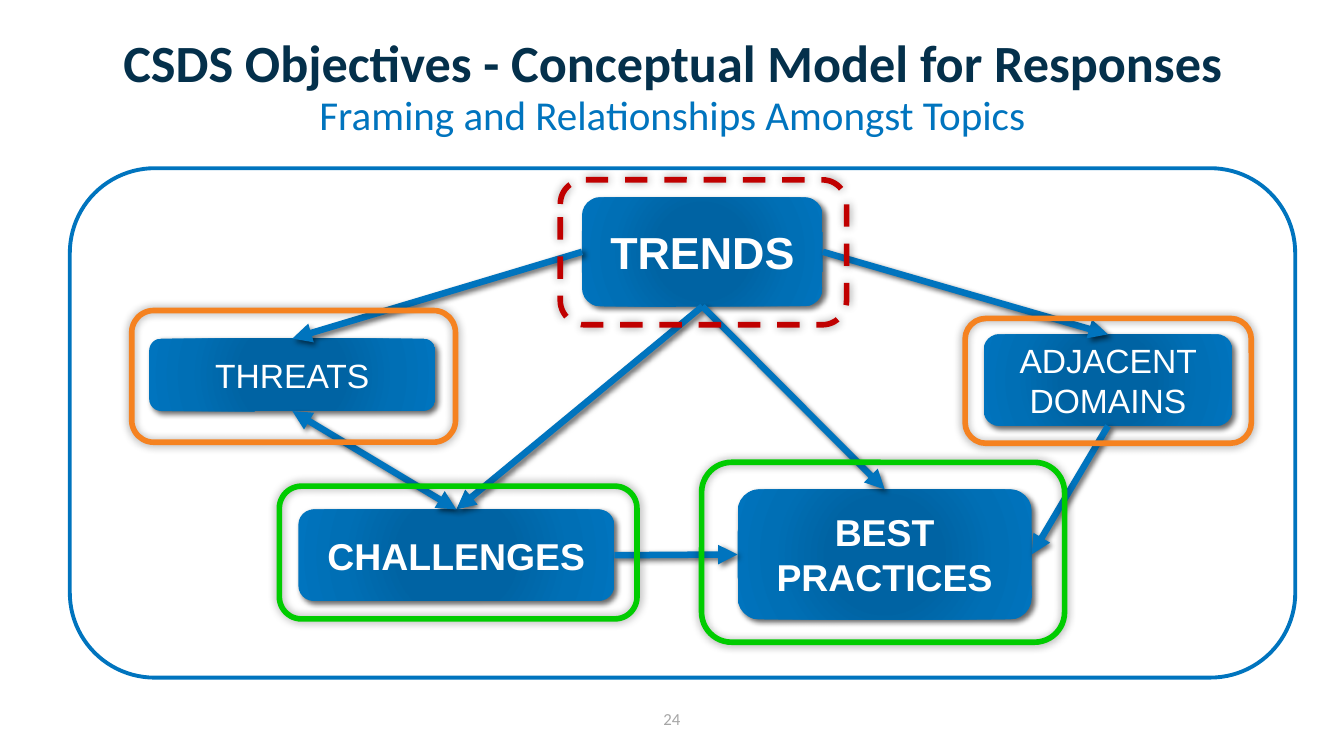
"""Build the slide on the conceptual model for responses."""
from lxml.etree import SubElement
from pptx import Presentation
from pptx.dml.color import RGBColor
from pptx.enum.dml import MSO_LINE_DASH_STYLE as Dash
from pptx.enum.shapes import MSO_CONNECTOR as Connector, MSO_SHAPE as Shape
from pptx.enum.text import MSO_ANCHOR as Anchor, PP_ALIGN as Align
from pptx.oxml import parse_xml
from pptx.oxml.ns import nsdecls, qn
from pptx.util import Cm, Pt

BLUE, ORANGE, GREEN, RED = "0074BE", "F58220", "00CC00", "C00000"
GRADIENT_STOPS = [(0, "0063A3"), (34, "0063A3"), (70, "006FB5"), (100, BLUE)]
BOX_SHADOW = (60, 3, 2, 45)
FRAME_SHADOW = (40, 5, 0, 0)
TOP, LEFT, BOTTOM, RIGHT = range(4)

TEXTS = [
    ("24", (11.43, 13.26, 2.54, 0.64), 9, "A6A6A6", False, Anchor.BOTTOM),
    ("CSDS Objectives - Conceptual Model for Responses",
     (1.75, 0.53, 21.92, 1.27), 28, "04304B", True, Anchor.MIDDLE),
    ("Framing and Relationships Amongst Topics",
     (1.75, 1.78, 21.92, 0.76), 22, BLUE, False, Anchor.MIDDLE),
]
BOXES = [
    ("CHALLENGES", (5.64, 9.63, 5.97, 1.73), 20, True),
    ("TRENDS", (11, 3.73, 4.55, 2.06), 24, True),
    ("THREATS", (2.82, 6.4, 5.41, 1.37), 18, False),
    ("BEST PRACTICES", (13.94, 9.25, 5.56, 2.46), 20, True),
    ("ADJACENT DOMAINS", (18.59, 6.32, 4.7, 1.73), 18, False),
]
ARROWS = [
    ("TRENDS", BOTTOM, "CHALLENGES", TOP, False),
    ("TRENDS", BOTTOM, "BEST PRACTICES", TOP, False),
    ("TRENDS", LEFT, "THREATS", TOP, False),
    ("TRENDS", RIGHT, "ADJACENT DOMAINS", TOP, False),
    ("ADJACENT DOMAINS", BOTTOM, "BEST PRACTICES", RIGHT, False),
    ("THREATS", BOTTOM, "CHALLENGES", TOP, True),
    ("CHALLENGES", RIGHT, "BEST PRACTICES", LEFT, False),
]
FRAMES = [
    ((13.26, 8.74, 6.86, 3.4), GREEN, 3, None, FRAME_SHADOW),
    ((1.32, 3.18, 23.16, 9.63), BLUE, 2.08, None, None),
    ((2.49, 5.87, 6.12, 2.49), ORANGE, 3, None, FRAME_SHADOW),
    ((10.59, 3.4, 5.41, 2.74), RED, 3, Dash.DASH, FRAME_SHADOW),
    ((18.24, 6.02, 5.41, 2.36), ORANGE, 3, None, FRAME_SHADOW),
    ((5.28, 9.19, 6.76, 2.51), GREEN, 3, None, FRAME_SHADOW),
]


def color(value):
    """Turn a hex string into a colour."""
    return RGBColor.from_string(value)


def add_shadow(shape, settings):
    """Give a finished shape or connector its outer shadow, or none."""
    effects = SubElement(shape.element.spPr, qn("a:effectLst"))
    if settings:
        opacity, blur, distance, angle = settings
        shadow = SubElement(effects, qn("a:outerShdw"), blurRad=str(Pt(blur)),
                            dist=str(Pt(distance)), dir=str(angle * 60000),
                            algn="ctr", rotWithShape="0")
        black = SubElement(shadow, qn("a:srgbClr"), val="000000")
        SubElement(black, qn("a:alpha"), val=str(opacity * 1000))


def fill_radial(shape):
    """Fill a shape with the blue gradient spreading from its centre."""
    stops = "".join(
        f'<a:gs pos="{position * 1000}"><a:srgbClr val="{value}"/></a:gs>'
        for position, value in GRADIENT_STOPS)
    gradient = parse_xml(
        f'<a:gradFill {nsdecls("a")} rotWithShape="1"><a:gsLst>{stops}</a:gsLst>'
        '<a:path path="circle"><a:fillToRect l="100000" t="100000" '
        'r="100000" b="100000"/></a:path></a:gradFill>')
    shape.fill.background()
    properties = shape.element.spPr
    properties.replace(properties.find(qn("a:noFill")), gradient)


def write_text(shape, text, size, font_name, value, bold, anchor=Anchor.MIDDLE):
    """Write one centred paragraph in a shape."""
    frame = shape.text_frame
    frame.text = text
    frame.word_wrap = True
    frame.vertical_anchor = anchor
    paragraph = frame.paragraphs[0]
    paragraph.alignment = Align.CENTER
    font = paragraph.runs[0].font
    font.name, font.size, font.bold = font_name, Pt(size), bold
    font.color.rgb = color(value)


def add_text(slide, text, place, size, value, bold, anchor):
    """Add a text box without side margins."""
    box = slide.shapes.add_textbox(*map(Cm, place))
    write_text(box, text, size, "Calibri", value, bold, anchor)
    box.text_frame.margin_left = box.text_frame.margin_right = 0


def add_topic(slide, text, place, size, bold):
    """Add a rounded topic box and return it."""
    box = slide.shapes.add_shape(Shape.ROUNDED_RECTANGLE, *map(Cm, place))
    fill_radial(box)
    box.line.fill.background()
    add_shadow(box, BOX_SHADOW)
    write_text(box, text, size, "Arial", "FFFFFF", bold)
    return box


def add_arrow(slide, start, start_side, end, end_side, two_way):
    """Join two topic boxes with an arrow."""
    arrow = slide.shapes.add_connector(Connector.STRAIGHT, 0, 0, 0, 0)
    arrow.begin_connect(start, start_side)
    arrow.end_connect(end, end_side)
    arrow.line.color.rgb = color(BLUE)
    arrow.line.width = Pt(3.5)
    line = arrow.element.spPr.find(qn("a:ln"))
    for tag in ("a:headEnd", "a:tailEnd") if two_way else ("a:tailEnd",):
        SubElement(line, qn(tag), type="triangle")
    add_shadow(arrow, BOX_SHADOW)


def add_frame(slide, place, value, width, dash, shadow):
    """Add an unfilled rounded frame."""
    frame = slide.shapes.add_shape(Shape.ROUNDED_RECTANGLE, *map(Cm, place))
    frame.fill.background()
    frame.line.color.rgb = color(value)
    frame.line.width = Pt(width)
    if dash:
        frame.line.dash_style = dash
    add_shadow(frame, shadow)


def main():
    """Build and save the presentation."""
    presentation = Presentation()
    presentation.slide_width, presentation.slide_height = Cm(25.4), Cm(14.29)
    slide = presentation.slides.add_slide(presentation.slide_layouts[6])
    for text in TEXTS:
        add_text(slide, *text)
    topics = {box[0]: add_topic(slide, *box) for box in BOXES}
    for start, start_side, end, end_side, two_way in ARROWS:
        add_arrow(slide, topics[start], start_side, topics[end], end_side, two_way)
    for frame in FRAMES:
        add_frame(slide, *frame)
    presentation.save("out.pptx")


if __name__ == "__main__":
    main()
